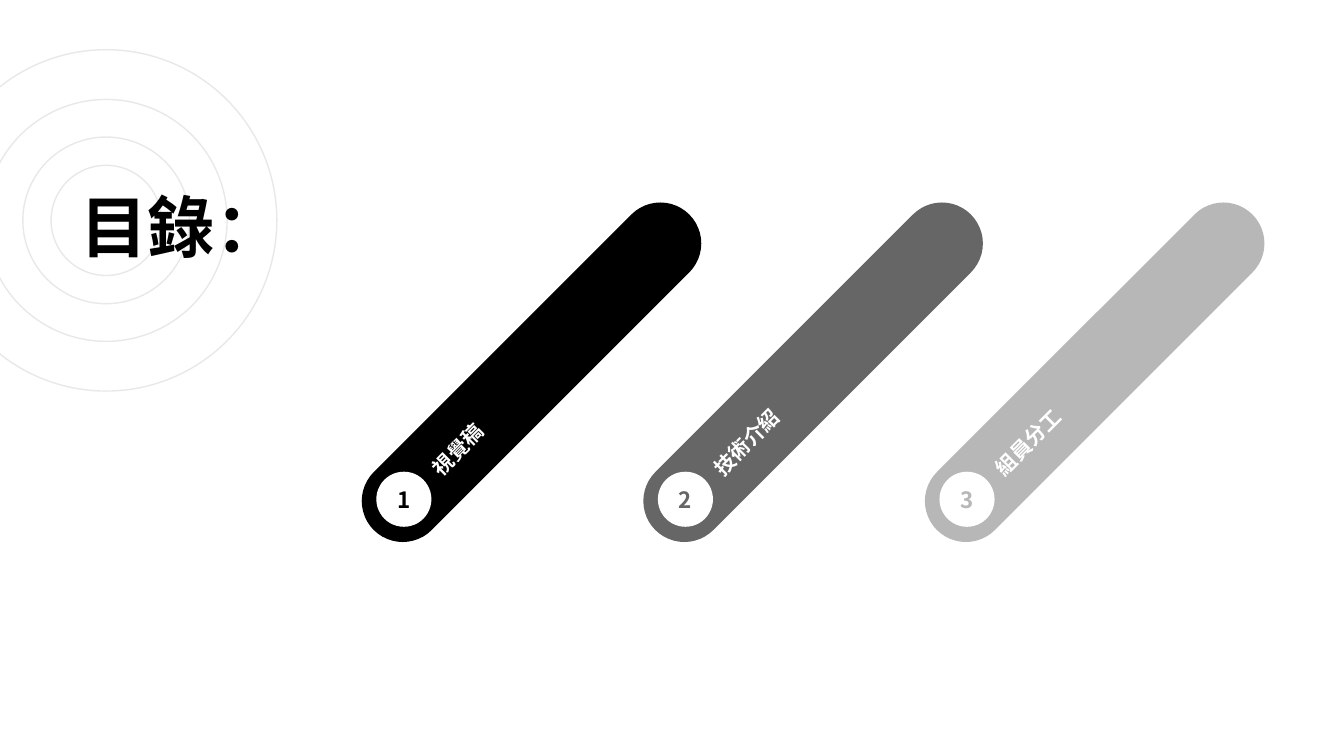
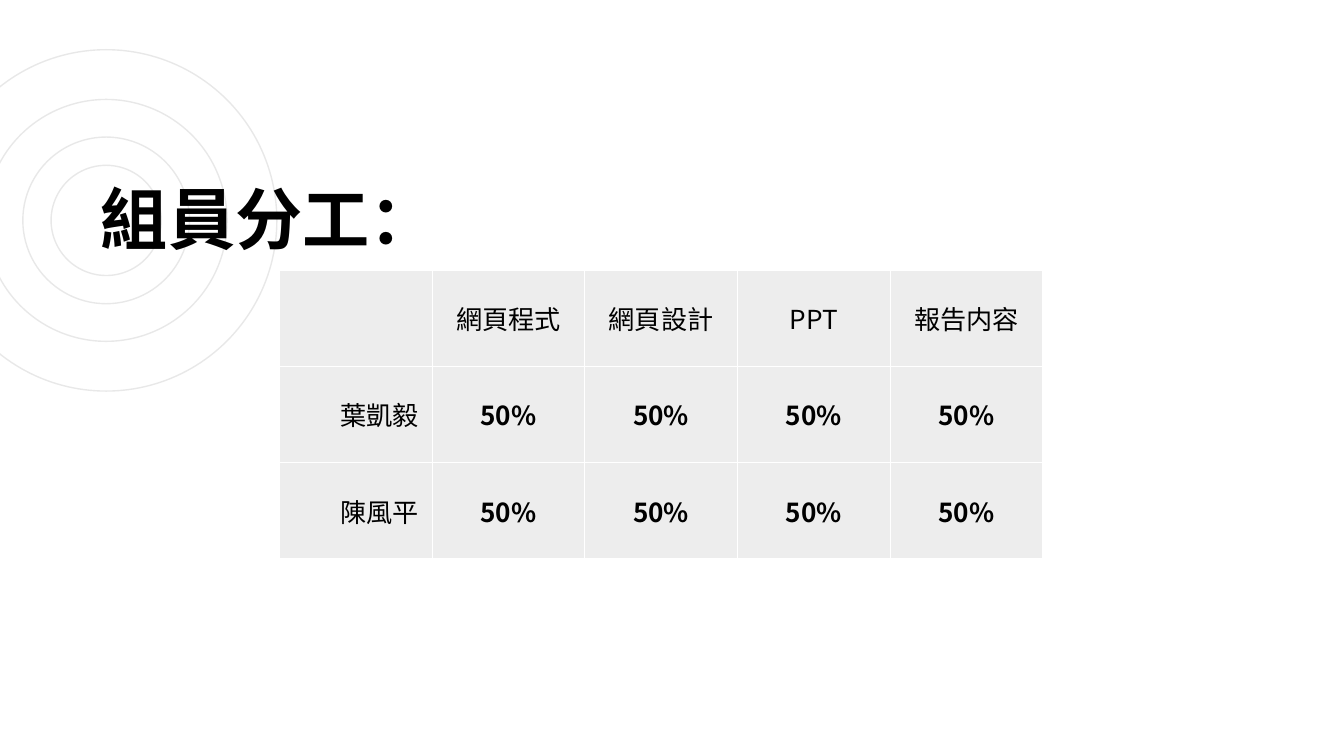
from dataclasses import dataclass

from lxml.etree import SubElement
from pptx import Presentation
from pptx.dml.color import RGBColor as RGB
from pptx.enum.shapes import MSO_SHAPE as SHAPE
from pptx.enum.text import MSO_ANCHOR as ANCHOR, MSO_AUTO_SIZE as AUTO, PP_ALIGN as ALIGN
from pptx.oxml.ns import qn
from pptx.util import Inches, Pt


@dataclass(frozen=True)
class Theme:
    """Colours, font and type sizes shared by the slides."""
    font: str = "Noto Sans CJK JP"
    ink: str = "000000"
    paper: str = "FFFFFF"
    ring: str = "E8E8E8"
    bars: tuple = ("000000", "666666", "B7B7B7")
    title: int = 36
    cell: int = 14
    number: int = 12
    label: int = 11
    line: float = 0.75
    inset: float = 0.1
    cell_alpha: int = 7


T = Theme()


def rgb(code):
    """Turn a hex code into a colour."""
    return RGB.from_string(code)


def add_run(p, text, size, color, bold=True):
    """Add one formatted run to a paragraph."""
    r = p.add_run()
    r.text = text
    r.font.size, r.font.bold, r.font.name = Pt(size), bold, T.font
    r.font.color.rgb = rgb(color)
    SubElement(r.font._element, qn("a:ea"), typeface=T.font)


def set_frame(tf, anchor, wrap=True):
    """Set the insets, anchor and wrapping of a text frame."""
    tf.margin_left = tf.margin_right = tf.margin_top = tf.margin_bottom = Inches(T.inset)
    tf.vertical_anchor, tf.word_wrap, tf.auto_size = anchor, wrap, AUTO.NONE


def add_shape(shapes, kind, box, fill=None, line=None):
    """Add a flat preset shape with an optional fill and line."""
    sp = shapes.add_shape(kind, *map(Inches, box))
    sp.shadow.inherit = False
    if fill:
        sp.fill.solid()
        sp.fill.fore_color.rgb = rgb(fill)
    else:
        sp.fill.background()
    if line:
        sp.line.color.rgb, sp.line.width = rgb(line), Pt(T.line)
    else:
        sp.line.fill.background()
    return sp


def add_rings(slide, cx, cy, diameters):
    """Draw concentric rings and place them behind the slide's layout."""
    grp = slide.shapes.add_group_shape()
    for d in diameters:
        add_shape(grp.shapes, SHAPE.OVAL, (cx - d / 2, cy - d / 2, d, d), line=T.ring)
    for i, el in enumerate(grp._element.iter(qn("p:cNvPr")), 100):
        el.set("id", str(i))
    slide.slide_layout.shapes.element.insert(2, grp._element)


def set_title(slide, text, box, anchor):
    """Fill and place the title placeholder."""
    sp = slide.shapes.title
    sp.left, sp.top, sp.width, sp.height = map(Inches, box)
    set_frame(sp.text_frame, anchor)
    p = sp.text_frame.paragraphs[0]
    p.alignment, p.line_spacing = ALIGN.LEFT, 1.0
    add_run(p, text, T.title, T.ink)


def add_bar(slide, x, y, number, text, color):
    """Draw one slanted bar with its number and label."""
    shapes = slide.shapes.add_group_shape().shapes
    bar = add_shape(shapes, SHAPE.ROUNDED_RECTANGLE, (x + 0.86, y, 0.61, 3.32), color)
    bar.adjustments[0] = 0.5
    bar.rotation = 45
    dot = add_shape(shapes, SHAPE.OVAL, (x + 0.01, y + 2.4, 0.41, 0.41), T.paper)
    set_frame(dot.text_frame, ANCHOR.MIDDLE, wrap=False)
    p = dot.text_frame.paragraphs[0]
    p.alignment = ALIGN.CENTER
    add_run(p, str(number), T.number, color)
    label = shapes.add_textbox(*map(Inches, (x, y + 1.34, 2.55, 0.43)))
    label.rotation = 315
    set_frame(label.text_frame, ANCHOR.MIDDLE)
    p = label.text_frame.paragraphs[0]
    p.line_spacing = 1.15
    add_run(p, text, T.label, T.paper)


def format_cell(cell):
    """Give a cell white borders and a translucent fill."""
    tc_pr = cell._tc.get_or_add_tcPr()
    for side in ("lnL", "lnR", "lnT", "lnB"):
        ln = SubElement(tc_pr, qn(f"a:{side}"), w=str(Pt(T.line)))
        SubElement(SubElement(ln, qn("a:solidFill")), qn("a:srgbClr"), val=T.paper)
    cell.fill.solid()
    cell.fill.fore_color.rgb = rgb(T.ink)
    color = tc_pr.find(qn("a:solidFill")).find(qn("a:srgbClr"))
    SubElement(color, qn("a:alpha"), val=str(T.cell_alpha * 1000))
    cell.margin_left = cell.margin_right = Inches(0.1)
    cell.margin_top = cell.margin_bottom = Inches(0.07)
    cell.vertical_anchor = ANCHOR.MIDDLE


def add_share_table(slide, box, rows):
    """Draw the table of each member's share of the work."""
    frame = slide.shapes.add_table(len(rows), len(rows[0]), *map(Inches, box))
    table = frame.table
    table.first_row = table.horz_banding = False
    for i, row in enumerate(rows):
        for j, text in enumerate(row):
            cell = table.cell(i, j)
            format_cell(cell)
            if text:
                p = cell.text_frame.paragraphs[0]
                p.alignment = ALIGN.CENTER if j else ALIGN.RIGHT
                add_run(p, text, T.cell, T.ink, bold=i > 0 and j > 0)


def build_contents(slide):
    """Build the contents slide."""
    set_title(slide, "目錄：", (0.5, 1.28, 3.4, 0.75), ANCHOR.TOP)
    pitch = 4.19 / 2
    for i, (text, color) in enumerate(zip(("視覺稿", "技術介紹", "組員分工"), T.bars)):
        add_bar(slide, 2.79 + i * pitch, 1.11, i + 1, text, color)


def build_division(slide):
    """Build the division of work slide."""
    set_title(slide, "組員分工：", (0.65, 1.27, 5.71, 0.75), ANCHOR.BOTTOM)
    heads = ["", "網頁程式", "網頁設計", "PPT", "報告内容"]
    members = [[name] + ["50%"] * 4 for name in ("葉凱毅", "陳風平")]
    add_share_table(slide, (2.08, 2.01, 5.68, 2.15), [heads] + members)


def main():
    """Build and save the presentation."""
    prs = Presentation()
    prs.slide_width = Inches(10)
    prs.slide_height = prs.slide_width * 9 // 16
    layout = prs.slide_layouts.get_by_name("Title Only")
    contents = prs.slides.add_slide(layout)
    division = prs.slides.add_slide(layout)
    add_rings(contents, 0.79, 1.64, (2.54, 1.24, 1.8, 0.82))
    build_contents(contents)
    build_division(division)
    prs.save("out.pptx")


if __name__ == "__main__":
    main()
